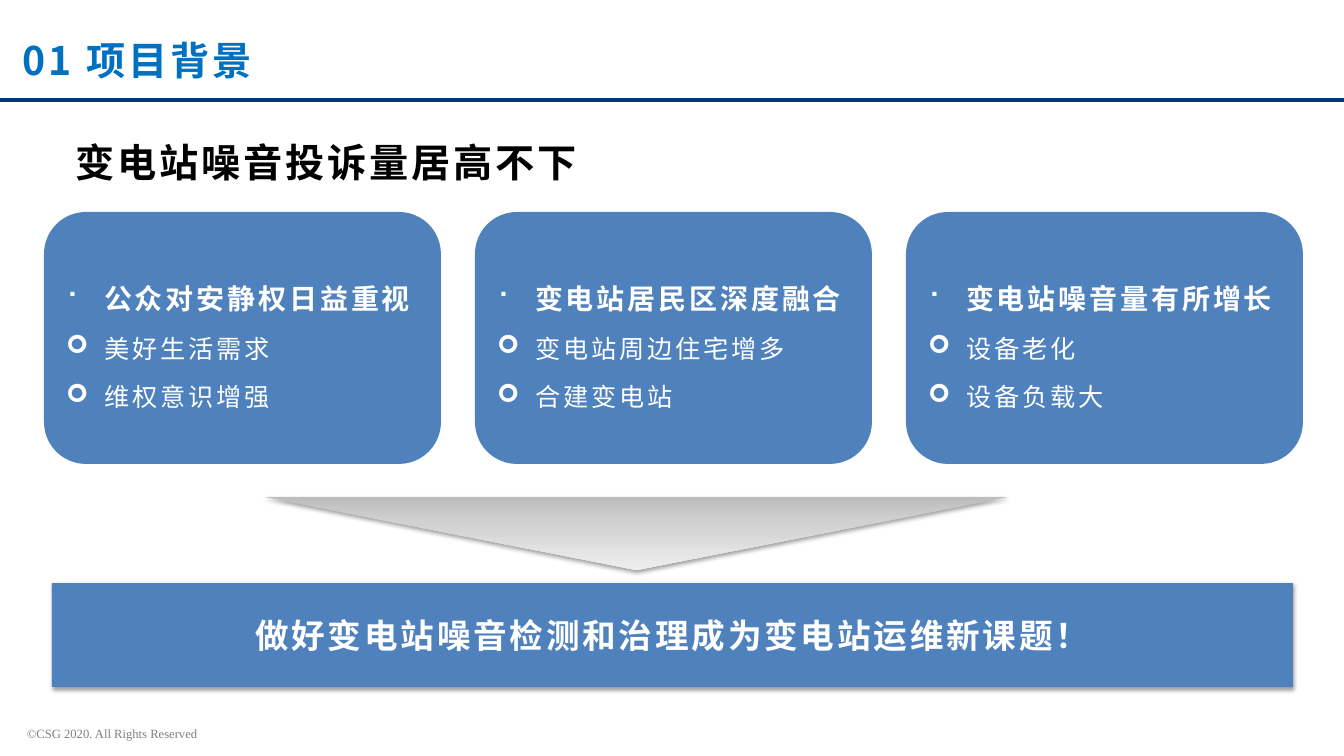
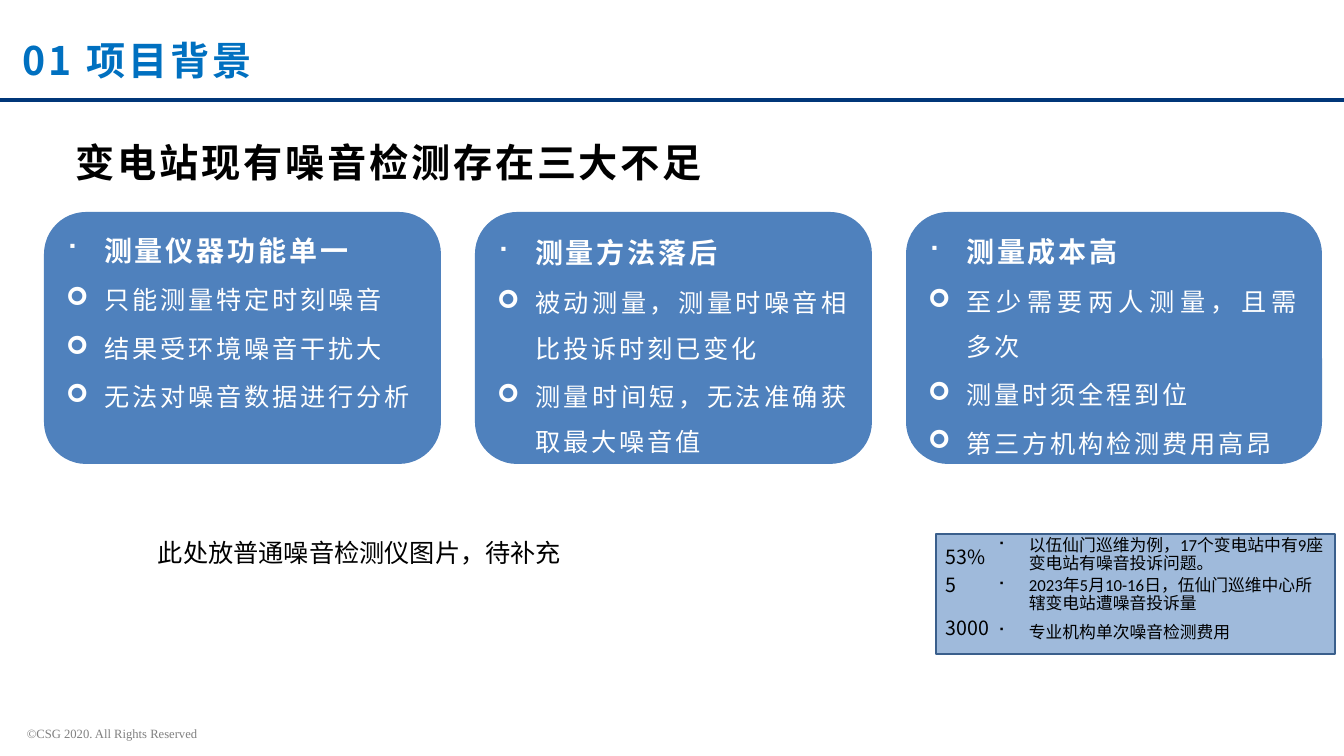
from lxml.etree import SubElement
from pptx import Presentation
from pptx.dml.color import RGBColor
from pptx.enum.shapes import MSO_CONNECTOR, MSO_SHAPE as SHAPE
from pptx.enum.text import MSO_ANCHOR as ANCHOR, PP_ALIGN as ALIGN
from pptx.oxml.ns import qn
from pptx.util import Pt

PX = 914400 / 100.8
PAGE_W, PAGE_H = 1344, 756
CJK, LATIN, SERIF = "Noto Sans CJK SC", "Calibri", "Times New Roman"
BLUE, NAVY, TITLE_BLUE, EDGE = "4F81BD", "003679", "0070C0", "3A5F8C"
WHITE, BLACK, GREY = "FFFFFF", "000000", "808080"
SQUARE, ARROW = "■", "➢"
CARD_LEFT, CARD_TOP, CARD_PITCH, CARD_W, CARD_H = 44, 212, 431, 397, 252


def px(count):
    return round(count * PX)


def rgb(hex_color):
    return RGBColor.from_string(hex_color)


def add_xml(parent, tag, **attributes):
    return SubElement(parent, qn(tag), {key: str(value) for key, value in attributes.items()})


def add_text(frame, text, size=18, color=BLACK, font=CJK, bold=False, track=0,
             align=ALIGN.LEFT, spacing=None, before=0, bullet=None, indent=38):
    """Add one paragraph; the first call fills the paragraph already there."""
    fresh = not frame.paragraphs[0].runs
    para = frame.paragraphs[0] if fresh else frame.add_paragraph()
    para.alignment = align
    if spacing:
        para.line_spacing = spacing
    para.space_before = Pt(0 if fresh else before)
    if bullet:
        props = para._p.get_or_add_pPr()
        props.set("marL", str(px(indent)))
        props.set("indent", str(-px(indent)))
        add_xml(props, "a:buFont", typeface="Wingdings")
        add_xml(props, "a:buChar", char=bullet)
    span = para.add_run()
    span.text = text
    span.font.size = Pt(size)
    span.font.bold = bold
    span.font.name = font
    span.font.color.rgb = rgb(color)
    run_props = span._r.get_or_add_rPr()
    add_xml(run_props, "a:ea", typeface=CJK)
    if track:
        run_props.set("spc", str(track * 100))


def add_box(page, left, top, width, height, kind=None, fill=None):
    """Add a plain shape, or a text box when no kind is given."""
    place = px(left), px(top), px(width), px(height)
    if kind is None:
        box = page.shapes.add_textbox(*place)
    else:
        box = page.shapes.add_shape(kind, *place)
        box.shadow.inherit = False
        box.line.fill.background()
        box.text_frame.vertical_anchor = ANCHOR.MIDDLE
    if fill:
        box.fill.solid()
        box.fill.fore_color.rgb = rgb(fill)
    box.text_frame.word_wrap = True
    return box


def add_shadow(box):
    effects = box._element.spPr.find(qn("a:effectLst"))
    shadow = add_xml(effects, "a:outerShdw", blurRad=Pt(3.1), dist=Pt(1.6),
                     dir=5400000, rotWithShape=0)
    add_xml(add_xml(shadow, "a:srgbClr", val=BLACK), "a:alpha", val=38000)


def add_page(deck, heading):
    """Add a blank page with the section title, rule, heading and footer."""
    page = deck.slides.add_slide(deck.slide_layouts[6])
    footer = add_box(page, 17, 721, 516, 25, SHAPE.RECTANGLE, WHITE)
    add_text(footer.text_frame, "©CSG 2020. All Rights Reserved", size=9, color=GREY, font=SERIF)
    rule = page.shapes.add_connector(MSO_CONNECTOR.STRAIGHT, 0, px(100), px(PAGE_W), px(100))
    rule.line.color.rgb = rgb(NAVY)
    rule.line.width = Pt(2.25)
    add_xml(rule._element.spPr, "a:effectLst")
    section = add_box(page, 13, 31, 635, 57)
    add_text(section.text_frame, "01 项目背景", size=28, color=TITLE_BLUE, bold=True, track=2)
    title = add_box(page, 66, 110, 1227, 73)
    add_text(title.text_frame, heading, size=28, bold=True, track=2,
             align=ALIGN.JUSTIFY, spacing=1.5)
    return page


def add_card(page, left, top, width, height, lines, lift=0):
    """Add a card with a bold first line; lift raises its text block."""
    frame = add_box(page, left, top, width, height, SHAPE.ROUNDED_RECTANGLE, BLUE).text_frame
    frame.margin_bottom = px(5 + lift)
    for number, line in enumerate(lines):
        lead = number == 0
        add_text(frame, line, size=20 if lead else 18, color=WHITE, bold=lead, track=2,
                 align=ALIGN.JUSTIFY, spacing=1.5, before=2,
                 bullet=SQUARE if lead else ARROW)


def add_cards(page, cards, lifts=(0, 0, 0), last_width=CARD_W):
    widths = CARD_W, CARD_W, last_width
    for column, (lines, lift, width) in enumerate(zip(cards, lifts, widths)):
        add_card(page, CARD_LEFT + column * CARD_PITCH, CARD_TOP, width, CARD_H, lines, lift)


def add_funnel(page, left, top, width, height):
    """Add the grey triangle pointing down at the conclusion."""
    funnel = add_box(page, left, top, width, height, SHAPE.ISOSCELES_TRIANGLE)
    funnel.adjustments[0] = 0.5
    funnel.rotation = 180
    funnel.fill.gradient()
    funnel.fill.gradient_angle = 90
    stops = funnel._element.spPr.find(qn("a:gradFill")).find(qn("a:gsLst"))
    for stop in list(stops):
        stops.remove(stop)
    for percent, color in ((0, "BDBDBD"), (35, "D1D1D1"), (100, "EEEEEE")):
        add_xml(add_xml(stops, "a:gs", pos=percent * 1000), "a:srgbClr", val=color)
    add_shadow(funnel)


def add_conclusion(page, left, top, width, height, text):
    band = add_box(page, left, top, width, height, SHAPE.RECTANGLE, BLUE)
    add_shadow(band)
    add_text(band.text_frame, text, size=24, color=WHITE, bold=True, track=2, align=ALIGN.CENTER)


def add_figures(page, left, top, width, height, figures):
    """Add a tinted panel: figures on the left, their notes on the right."""
    panel = add_box(page, left, top, width, height, SHAPE.RECTANGLE, BLUE)
    tint = panel._element.spPr.find(qn("a:solidFill"))[0]
    add_xml(tint, "a:alpha", val=54000)
    panel.line.color.rgb = rgb(EDGE)
    panel.line.width = Pt(2)
    panel.text_frame.margin_bottom = px(9)
    for value, before, offset, note_height, spacing, note in figures:
        add_text(panel.text_frame, value, size=14, before=before)
        note_box = add_box(page, left + 52, top + offset, width - 49, note_height)
        add_text(note_box.text_frame, note, size=12, font=LATIN, spacing=spacing,
                 bullet=SQUARE, indent=31)


def build_causes(deck):
    page = add_page(deck, "变电站噪音投诉量居高不下")
    add_cards(page, (
        ("公众对安静权日益重视", "美好生活需求", "维权意识增强"),
        ("变电站居民区深度融合", "变电站周边住宅增多", "合建变电站"),
        ("变电站噪音量有所增长", "设备老化", "设备负载大"),
    ))
    add_funnel(page, 265, 497, 743, 73)
    add_conclusion(page, 52, 583, 1241, 104, "做好变电站噪音检测和治理成为变电站运维新课题！")


def build_shortcomings(deck):
    page = add_page(deck, "变电站现有噪音检测存在三大不足")
    add_cards(page, (
        ("测量仪器功能单一", "只能测量特定时刻噪音", "结果受环境噪音干扰大", "无法对噪音数据进行分析"),
        ("测量方法落后", "被动测量，测量时噪音相比投诉时刻已变化", "测量时间短，无法准确获取最大噪音值"),
        ("测量成本高", "至少需要两人测量，且需多次", "测量时须全程到位", "第三方机构检测费用高昂"),
    ), lifts=(48, 0, 0), last_width=416)
    add_figures(page, 936, 534, 399, 120, (
        ("53%", 0, -2, 46, 0.9, "以伍仙门巡维为例，17个变电站中有9座变电站有噪音投诉问题。"),
        ("5", 3, 38, 46, 0.9, "2023年5月10-16日，伍仙门巡维中心所辖变电站遭噪音投诉量"),
        ("3000", 14, 83, 30, 1.0, "专业机构单次噪音检测费用"),
    ))
    pending = add_box(page, 148, 532, 686, 40)
    add_text(pending.text_frame, "此处放普通噪音检测仪图片，待补充", font=LATIN)


def main():
    deck = Presentation()
    deck.slide_width, deck.slide_height = px(PAGE_W), px(PAGE_H)
    build_causes(deck)
    build_shortcomings(deck)
    deck.save("out.pptx")


if __name__ == "__main__":
    main()
